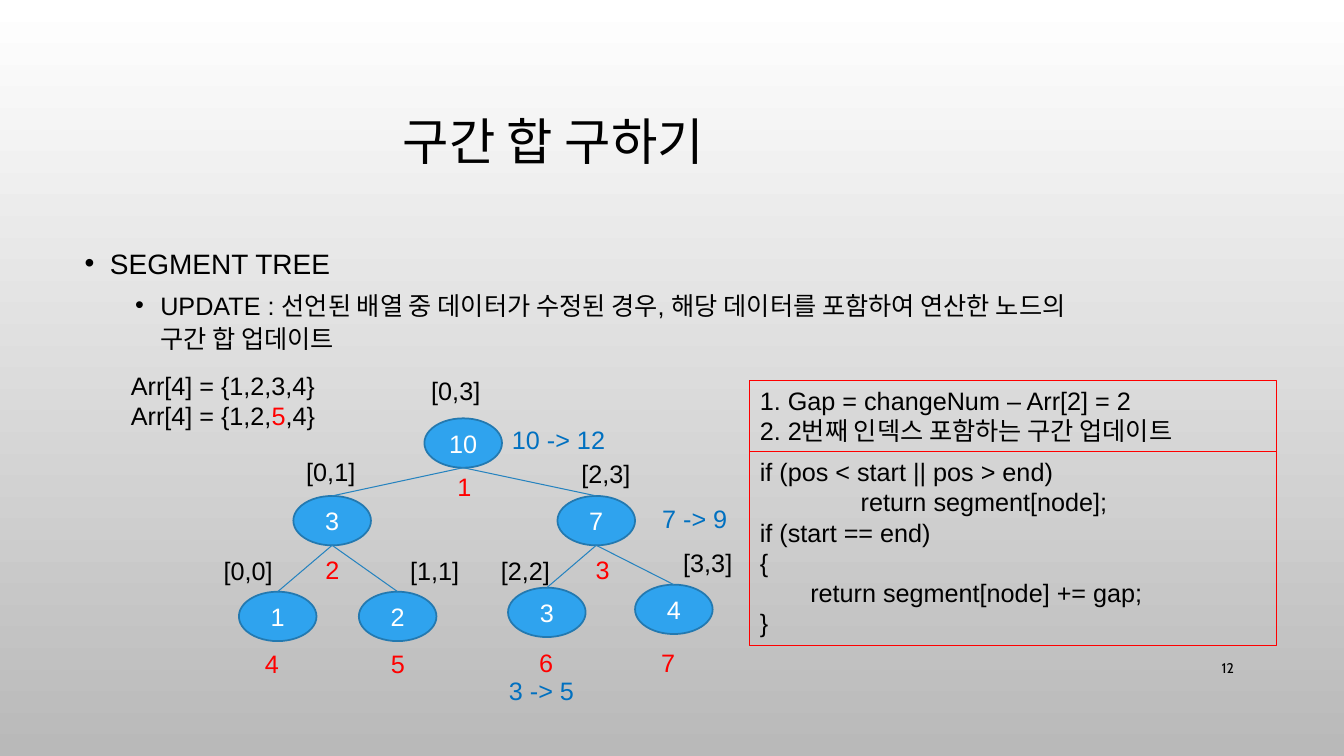
import dataclasses

import pptx
import pptx.dml.color
import pptx.enum.shapes
import pptx.enum.text
import pptx.oxml
import pptx.oxml.ns
import pptx.util

COLUMNS, ROWS = 40, 30
SLIDE_WIDTH, SLIDE_HEIGHT = pptx.util.Inches(13.33), pptx.util.Inches(7.5)
ALIGN = pptx.enum.text.PP_ALIGN
ANCHOR = pptx.enum.text.MSO_ANCHOR
AUTO_SIZE = pptx.enum.text.MSO_AUTO_SIZE
SHAPES = pptx.enum.shapes.MSO_SHAPE


@dataclasses.dataclass(frozen=True)
class Theme:
    """Colours, fonts and type sizes of the slide."""
    ink: str = "000000"
    paper: str = "FFFFFF"
    shade: str = "B9B9B9"
    node: str = "2FA3EE"
    node_edge: str = "2379B0"
    branch: str = "2683BF"
    mark: str = "FF0000"
    change: str = "0070C0"
    text_font: str = "Arial"
    title_font: str = "Cabin"
    title_size: float = 36
    topic_size: float = 20
    text_size: float = 18
    number_size: float = 10


THEME = Theme()


@dataclasses.dataclass(frozen=True)
class Box:
    """A region measured in columns and rows of the slide grid."""
    col: float
    row: float
    cols: float
    rows: float

    def inset(self, col, row, cols, rows):
        """Return a region offset from this one's top left corner."""
        return Box(self.col + col, self.row + row, cols, rows)

    def frame(self):
        """Return left, top, width and height as slide lengths."""
        x, y = SLIDE_WIDTH / COLUMNS, SLIDE_HEIGHT / ROWS
        return [round(v) for v in (self.col * x, self.row * y, self.cols * x, self.rows * y)]


@dataclasses.dataclass(frozen=True)
class Node:
    """A tree node: its value, its range and the places of its labels."""
    value: str
    span: str
    place: tuple
    span_place: tuple
    index_place: tuple


NODES = {
    1: Node("10", "[0,3]", (6.27, 1.92), (6.18, 0), (6.96, 3.84)),
    2: Node("3", "[0,1]", (2.37, 5), (2.46, 3.24), (3.03, 7.12)),
    3: Node("7", "[2,3]", (10.23, 5), (10.65, 3.32), (11.07, 7.12)),
    4: Node("1", "[0,0]", (0.75, 8.8), (0, 7.16), (1.23, 10.84)),
    5: Node("2", "[1,1]", (4.32, 8.8), (5.55, 7.16), (4.98, 10.84)),
    6: Node("3", "[2,2]", (8.76, 8.64), (8.25, 7.16), (9.39, 10.8)),
    7: Node("4", "[3,3]", (12.54, 8.52), (13.68, 6.84), (13.02, 10.8)),
}
CHANGES = {"10 -> 12": (8.58, 1.96), "7 -> 9": (13.05, 5.08), "3 -> 5": (8.49, 11.92)}
STEPS = ["1. Gap = changeNum – Arr[2] = 2", "2. 2번째 인덱스 포함하는 구간 업데이트"]
CODE = [(0, "if (pos < start || pos > end)"), (2, "return segment[node];"),
        (0, "if (start == end)"), (0, "{"), (1, "return segment[node] += gap;"), (0, "}")]


def rgb(color):
    """Turn a hex string into a colour."""
    return pptx.dml.color.RGBColor.from_string(color)


def style(paragraph, color=THEME.ink, size=THEME.text_size, font=THEME.text_font, align=ALIGN.LEFT):
    """Format every run of a paragraph."""
    paragraph.alignment = align
    for run in paragraph.runs:
        run.font.name = font
        run.font.size = pptx.util.Pt(size)
        run.font.color.rgb = rgb(color)


def move(shape, box):
    """Place a shape on the given region."""
    shape.left, shape.top, shape.width, shape.height = box.frame()


def add_label(slide, box, text, color=THEME.ink, wrap=False):
    """Add a text box that grows with its lines."""
    label = slide.shapes.add_textbox(*box.frame())
    label.text_frame.text = text
    label.text_frame.word_wrap = wrap
    label.text_frame.auto_size = AUTO_SIZE.SHAPE_TO_FIT_TEXT
    for paragraph in label.text_frame.paragraphs:
        style(paragraph, color)
    return label


def add_background(slide):
    """Fill the slide with a gradient from top to bottom."""
    fill = slide.background.fill
    fill.gradient()
    fill.gradient_angle = 270
    for stop, color in zip(fill.gradient_stops, (THEME.paper, THEME.shade)):
        stop.color.rgb = rgb(color)


def add_title(slide, box):
    """Fill the title placeholder."""
    title = slide.shapes.title
    move(title, box)
    frame = title.text_frame
    frame.text = "구간 합 구하기"
    frame.vertical_anchor = ANCHOR.MIDDLE
    frame.auto_size = AUTO_SIZE.NONE
    frame.paragraphs[0].line_spacing = 0.9
    style(frame.paragraphs[0], size=THEME.title_size, font=THEME.title_font, align=ALIGN.CENTER)


def add_topics(slide, box):
    """Fill the body placeholder with the two-level list."""
    body = slide.placeholders[1]
    move(body, box)
    frame = body.text_frame
    frame.text = ("SEGMENT TREE\nUPDATE : 선언된 배열 중 데이터가 수정된 경우, "
                  "해당 데이터를 포함하여 연산한 노드의 구간 합 업데이트")
    frame.auto_size = AUTO_SIZE.NONE
    looks = [(THEME.topic_size, 10, 0.25), (THEME.text_size, 5, 0.75)]
    for level, (topic, (size, before, indent)) in enumerate(zip(frame.paragraphs, looks)):
        topic.level = level
        topic.line_spacing = 1.1
        topic.space_before = pptx.util.Pt(before)
        style(topic, size=size)
        properties = topic._p.get_or_add_pPr()
        properties.set("marL", str(pptx.util.Inches(indent)))
        properties.set("indent", str(pptx.util.Inches(-0.25)))
        namespace = pptx.oxml.ns.nsdecls("a")
        for bullet in (f'<a:buClr {namespace}><a:srgbClr val="{THEME.ink}"/></a:buClr>',
                       f'<a:buChar {namespace} char="•"/>'):
            properties.append(pptx.oxml.parse_xml(bullet))


def add_array(slide, box):
    """Show the array before and after the update."""
    array = add_label(slide, box, "Arr[4] = {1,2,3,4}\nArr[4] = {1,2,")
    updated = array.text_frame.paragraphs[1]
    for text in ("5", ",4}"):
        updated.add_run().text = text
    style(updated)
    updated.runs[1].font.color.rgb = rgb(THEME.mark)


def add_node(slide, box, value):
    """Add one ellipse of the tree."""
    node = slide.shapes.add_shape(SHAPES.OVAL, *box.frame())
    node.shadow.inherit = False
    node.fill.solid()
    node.fill.fore_color.rgb = rgb(THEME.node)
    node.line.color.rgb = rgb(THEME.node_edge)
    node.line.width = pptx.util.Pt(1.25)
    node.text_frame.text = value
    node.text_frame.vertical_anchor = ANCHOR.MIDDLE
    style(node.text_frame.paragraphs[0], THEME.paper, align=ALIGN.CENTER)
    return node


def add_branch(slide, parent, child):
    """Join the bottom of a parent to the top of its child."""
    branch = slide.shapes.add_connector(
        pptx.enum.shapes.MSO_CONNECTOR.STRAIGHT,
        parent.left + parent.width // 2, parent.top + parent.height,
        child.left + child.width // 2, child.top)
    branch.end_connect(child, 0)
    branch.line.color.rgb = rgb(THEME.branch)
    branch.line.width = pptx.util.Pt(0.75)
    branch._element.spPr.append(
        pptx.oxml.parse_xml(f'<a:effectLst {pptx.oxml.ns.nsdecls("a")}/>'))


def add_tree(slide, box):
    """Draw the segment tree with its ranges, indices and changes."""
    ellipses = {index: add_node(slide, box.inset(*node.place, 2.31, 1.96), node.value)
                for index, node in NODES.items()}
    for index, node in NODES.items():
        if index > 1:
            add_branch(slide, ellipses[index // 2], ellipses[index])
        add_label(slide, box.inset(*node.span_place, 2.49, 1.6), node.span)
        add_label(slide, box.inset(*node.index_place, 1.05, 1.6), str(index), THEME.mark)
    for change, place in CHANGES.items():
        add_label(slide, box.inset(*place, 3.81, 1.6), change, THEME.change, wrap=True)


def add_panel(slide, box, lines):
    """Add a framed panel of lines, each with its indent level."""
    panel = slide.shapes.add_shape(SHAPES.RECTANGLE, *box.frame())
    panel.shadow.inherit = False
    panel.fill.background()
    panel.line.color.rgb = rgb(THEME.mark)
    panel.line.width = pptx.util.Pt(0.75)
    frame = panel.text_frame
    frame.text = "\n".join(text for _, text in lines)
    frame.word_wrap = True
    frame.vertical_anchor = ANCHOR.TOP
    frame.auto_size = AUTO_SIZE.SHAPE_TO_FIT_TEXT
    for paragraph, (level, _) in zip(frame.paragraphs, lines):
        style(paragraph)
        paragraph._p.get_or_add_pPr().set("marL", str(pptx.util.Inches(level / 2)))


def add_algorithm(slide, box):
    """Stack the steps above the code."""
    steps_rows = 2.84
    add_panel(slide, box.inset(0, 0, box.cols, steps_rows), [(0, step) for step in STEPS])
    add_panel(slide, box.inset(0, steps_rows, box.cols, box.rows - steps_rows), CODE)


def add_page_number(slide, box):
    """Add the page number."""
    number = add_label(slide, box, "12", wrap=True)
    number.text_frame.auto_size = AUTO_SIZE.NONE
    number.text_frame.vertical_anchor = ANCHOR.MIDDLE
    style(number.text_frame.paragraphs[0], size=THEME.number_size,
          font=THEME.title_font, align=ALIGN.RIGHT)


def main():
    """Build the slide and save it."""
    deck = pptx.Presentation()
    deck.slide_width, deck.slide_height = SLIDE_WIDTH, SLIDE_HEIGHT
    slide = deck.slides.add_slide(deck.slide_layouts[1])
    add_background(slide)
    add_title(slide, Box(2.37, 2.84, 28.2, 5.76))
    add_topics(slide, Box(2.22, 9.44, 29.88, 5.08))
    add_page_number(slide, Box(34.5, 25.72, 2.52, 1.6))
    add_tree(slide, Box(6.36, 14.68, 16.86, 13.52))
    add_array(slide, Box(3.6, 14.48, 7.02, 2.84))
    add_algorithm(slide, Box(22.32, 15.08, 15.66, 10.52))
    deck.save("out.pptx")


if __name__ == "__main__":
    main()
